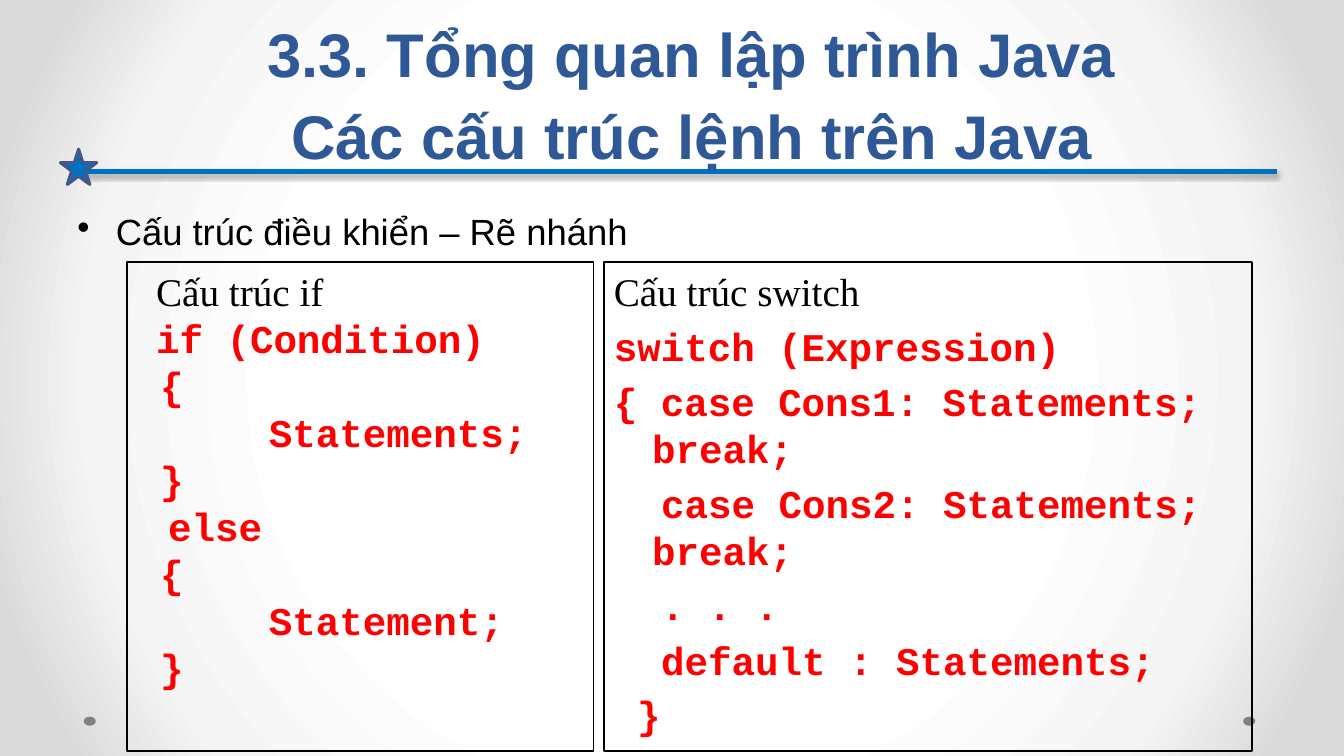
from pptx import Presentation
from pptx.dml.color import RGBColor
from pptx.enum.shapes import MSO_CONNECTOR, MSO_SHAPE
from pptx.enum.text import MSO_ANCHOR, PP_ALIGN
from pptx.oxml import parse_xml
from pptx.oxml.ns import nsdecls
from pptx.util import Inches, Pt

COLORS = {
    "title": "2F5897",
    "accent": "0070C0",
    "star_edge": "475785",
    "dot": "808080",
    "text": "000000",
    "code": "FF0000",
}
BACKDROP = [(0, "FFFFFF"), (50, "FFFFFF"), (76, "F4F4F4"), (92, "DADADA"), (100, "DADADA")]


def color(name):
    return RGBColor.from_string(COLORS[name])


def write(paragraph, text, size=28, font="Arial", ink="text", bold=False,
          align=PP_ALIGN.LEFT, left=0, first=0, before=0, spacing=None, bullet=None):
    paragraph.alignment = align
    paragraph.space_before = Pt(before)
    if spacing:
        paragraph.line_spacing = Pt(spacing)
    properties = paragraph._p.get_or_add_pPr()
    properties.set("marL", str(Inches(left)))
    properties.set("indent", str(Inches(first)))
    if bullet:
        properties.append(parse_xml(f'<a:buChar {nsdecls("a")} char="{bullet}"/>'))
    for index, line in enumerate(text.split("\n")):
        if index:
            paragraph.add_line_break()
        run = paragraph.add_run()
        run.text = line
        run.font.size = Pt(size)
        run.font.name = font
        run.font.bold = bold
        run.font.color.rgb = color(ink)


class LectureSlide:
    def __init__(self, presentation):
        self.slide = presentation.slides.add_slide(presentation.slide_layouts[5])
        self.shapes = self.slide.shapes

    def backdrop(self):
        stops = "".join(
            f'<a:gs pos="{position * 1000}"><a:srgbClr val="{shade}"/></a:gs>'
            for position, shade in BACKDROP
        )
        self.slide.element.cSld.insert(0, parse_xml(
            f'<p:bg {nsdecls("p", "a")}><p:bgPr><a:gradFill rotWithShape="1">'
            f'<a:gsLst>{stops}</a:gsLst><a:path path="circle">'
            '<a:fillToRect l="50000" t="50000" r="50000" b="50000"/></a:path>'
            '</a:gradFill><a:effectLst/></p:bgPr></p:bg>'))

    def shape(self, kind, left, top, width, height, fill=None, edge=None, weight=1):
        shape = self.shapes.add_shape(
            kind, Inches(left), Inches(top), Inches(width), Inches(height))
        shape.shadow.inherit = False
        if fill:
            shape.fill.solid()
            shape.fill.fore_color.rgb = color(fill)
        else:
            shape.fill.background()
        if edge:
            shape.line.color.rgb = color(edge)
            shape.line.width = Pt(weight)
        else:
            shape.line.fill.background()
        return shape

    def rule(self, start, end, y):
        rule = self.shapes.add_connector(
            MSO_CONNECTOR.STRAIGHT, Inches(start), Inches(y), Inches(end), Inches(y))
        rule.line.color.rgb = color("accent")
        rule.line.width = Pt(4)
        rule.element.spPr.append(parse_xml(
            f'<a:effectLst {nsdecls("a")}><a:outerShdw blurRad="{Pt(3.1)}" '
            f'dist="{Pt(1.8)}" dir="5400000" rotWithShape="0"><a:srgbClr val="000000">'
            '<a:alpha val="35000"/></a:srgbClr></a:outerShdw></a:effectLst>'))

    def title(self, text, left, top, width, height):
        title = self.shapes.title
        title.left, title.top = Inches(left), Inches(top)
        title.width, title.height = Inches(width), Inches(height)
        title.text_frame.vertical_anchor = MSO_ANCHOR.BOTTOM
        title.text_frame.word_wrap = True
        write(title.text_frame.paragraphs[0], text, size=44, ink="title", bold=True,
              align=PP_ALIGN.CENTER, spacing=58)
        title.element.getparent().append(title.element)

    def topic(self, text, left, top, width, height):
        topic = self.shapes.add_textbox(
            Inches(left), Inches(top), Inches(width), Inches(height))
        topic.text_frame.word_wrap = True
        write(topic.text_frame.paragraphs[0], text, size=26,
              left=0.38, first=-0.38, bullet="•")

    def code_box(self, left, width, heading, heading_indent, lines, hanging=0, before=0):
        box = self.shape(MSO_SHAPE.RECTANGLE, left, 2.6, width, 4.85, edge="text")
        frame = box.text_frame
        frame.word_wrap = True
        frame.vertical_anchor = MSO_ANCHOR.TOP
        write(frame.paragraphs[0], heading, font="Times New Roman", left=heading_indent)
        for indent, code in lines:
            write(frame.add_paragraph(), code, font="Courier New", ink="code", bold=True,
                  left=hanging, first=indent - hanging, before=before)


def main():
    presentation = Presentation()
    presentation.slide_width = Inches(13.33)
    presentation.slide_height = Inches(7.5)

    lecture = LectureSlide(presentation)
    lecture.backdrop()
    for dot_left in (12.33, 0.83):
        lecture.shape(MSO_SHAPE.OVAL, dot_left, 7.11, 0.12, 0.09, fill="dot")
    lecture.rule(0.84, 12.67, 1.7)
    lecture.shape(MSO_SHAPE.STAR_5_POINT, 0.6, 1.48, 0.36, 0.35,
                  fill="accent", edge="star_edge", weight=2.25)
    lecture.title("3.3. Tổng quan lập trình Java\nCác cấu trúc lệnh trên Java",
                  1.08, 0.19, 11.57, 1.56)
    lecture.topic("Cấu trúc điều khiển – Rẽ nhánh", 0.67, 2.03, 12, 0.55)

    if_lines = [
        (0.19, "if (Condition)"),
        (0.23, "{"),
        (1.31, "Statements;"),
        (0.23, "}"),
        (0.31, "else"),
        (0.23, "{"),
        (1.31, "Statement;"),
        (0.23, "}"),
    ]
    switch_lines = [
        (0, "switch (Expression)"),
        (0, "{ case Cons1: Statements; break;"),
        (0.47, "case Cons2: Statements; break;"),
        (0.47, ". . ."),
        (0.47, "default : Statements;"),
        (0.23, "}"),
    ]
    lecture.code_box(1.26, 4.63, "Cấu trúc if", 0.19, if_lines)
    lecture.code_box(5.99, 6.43, "Cấu trúc switch", 0, switch_lines,
                     hanging=0.38, before=5.6)

    presentation.save("out.pptx")


if __name__ == "__main__":
    main()
